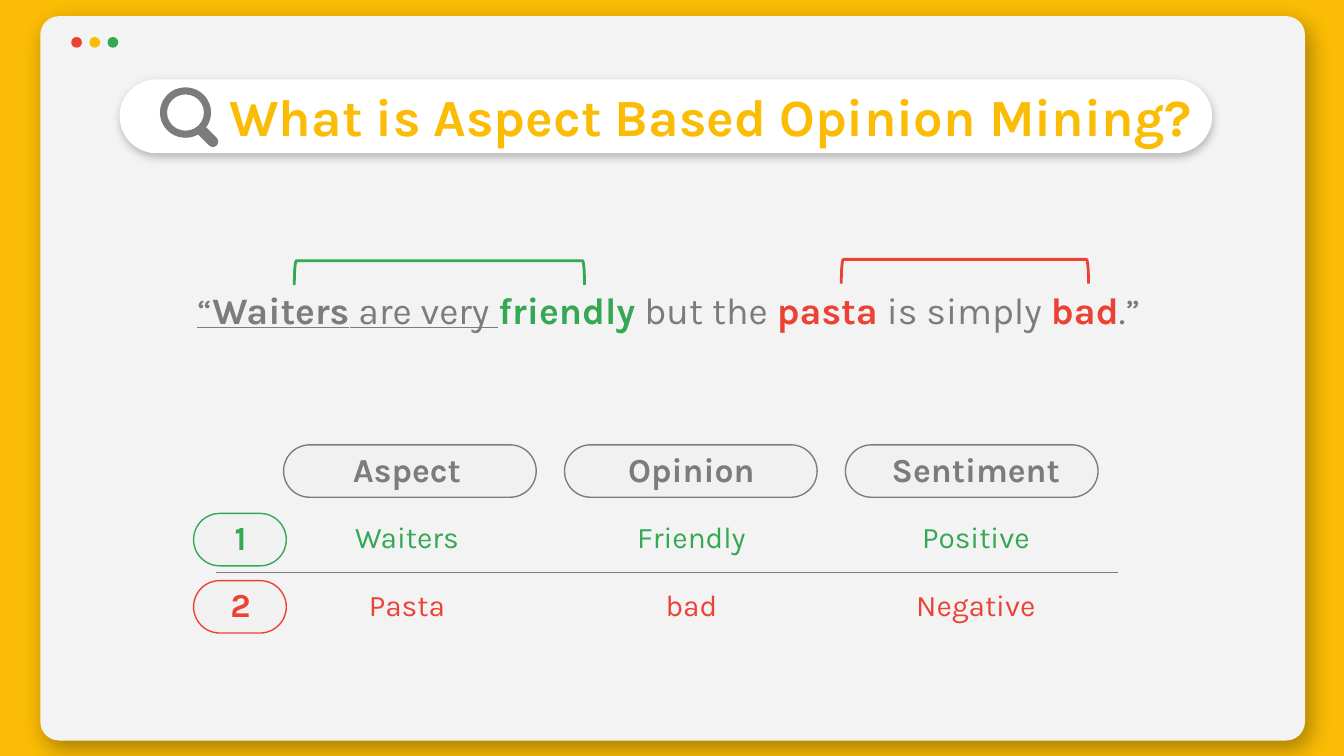
from lxml import etree
from pptx import Presentation, util as u
from pptx.dml.color import RGBColor
from pptx.enum import shapes as s, text as t
from pptx.oxml import ns

YELLOW = RGBColor(0xFB, 0xBC, 0x05)
RED = RGBColor(0xEA, 0x43, 0x35)
GREEN = RGBColor(0x34, 0xA8, 0x53)
GREY = RGBColor(0x7C, 0x7C, 0x7C)
WHITE = RGBColor(0xFF, 0xFF, 0xFF)
BLACK = RGBColor(0, 0, 0)
PAPER = RGBColor(0xF3, 0xF3, 0xF3)
PILL = RGBColor(0xF1, 0xF1, 0xF1)

COLUMNS, ROWS = 100, 56.25
CELL = u.Inches(10) / COLUMNS
PLAIN_TABLE = "{2D5ABB26-0587-4C30-8999-92F81FD0307C}"
ROUND, OVAL = s.MSO_SHAPE.ROUNDED_RECTANGLE, s.MSO_SHAPE.OVAL


def grid(*lengths):
    """Turn grid units into slide lengths."""
    return [u.Emu(round(length * CELL)) for length in lengths]


def add_shape(slide, kind, box, fill=None, line=None, weight=0.75, corner=None, turn=0):
    """Add a preset shape without shadow."""
    shape = slide.shapes.add_shape(kind, *grid(*box))
    shape.shadow.inherit = False
    shape.rotation = turn
    if corner is not None:
        shape.adjustments[0] = corner
    if fill is None:
        shape.fill.background()
    else:
        shape.fill.solid()
        shape.fill.fore_color.rgb = fill
    if line is None:
        shape.line.fill.background()
    else:
        shape.line.color.rgb = line
        shape.line.width = u.Pt(weight)
    return shape


def add_shadow(shape, color, alpha, blur, distance, angle):
    """Give a shape an outer shadow."""
    effects = shape._element.spPr.find(ns.qn("a:effectLst"))
    shadow = etree.SubElement(
        effects, ns.qn("a:outerShdw"), blurRad=str(u.Pt(blur)), dist=str(u.Pt(distance)),
        dir=str(angle * 60000), algn="bl", rotWithShape="0")
    tone = etree.SubElement(shadow, ns.qn("a:srgbClr"), val=str(color))
    etree.SubElement(tone, ns.qn("a:alpha"), val=str(alpha * 1000))


def write(paragraph, words, size=18, color=GREY, bold=False, underline=False):
    """Append a run of formatted text to a paragraph."""
    run = paragraph.add_run()
    run.text = words
    font = run.font
    font.name, font.size, font.bold, font.underline = "Karla", u.Pt(size), bold, underline
    font.color.rgb = color


def add_text(slide, box, anchor=t.MSO_ANCHOR.TOP, align=t.PP_ALIGN.LEFT):
    """Add a wrapping text box and return its paragraph."""
    frame = slide.shapes.add_textbox(*grid(*box)).text_frame
    frame.word_wrap = True
    frame.vertical_anchor = anchor
    frame.margin_left = frame.margin_right = frame.margin_top = frame.margin_bottom = grid(1)[0]
    frame.paragraphs[0].alignment = align
    return frame.paragraphs[0]


def add_window(slide, box):
    """Draw the browser window with its three buttons."""
    left, top, _, height = box
    window = add_shape(slide, ROUND, box, PAPER, corner=1.4 / height)
    add_shadow(window, BLACK, 32, 12.4, 5.2, 57)
    for index, color in enumerate((RED, YELLOW, GREEN)):
        add_shape(slide, OVAL, (left + 2.3 + index * 1.35, top + 1.55, 0.8, 0.8), color)


def add_search_bar(slide, box, title):
    """Draw the search bar with its magnifier and title."""
    left, top, width, height = box
    bar = add_shape(slide, ROUND, box, WHITE, corner=0.5)
    add_shadow(bar, GREY, 50, 4.5, 1.5, 90)
    add_shape(slide, s.MSO_SHAPE.DONUT, (left + 3, top + 0.6, 3.8, 3.75), GREY, corner=0.14)
    add_shape(slide, ROUND, (left + 5.6, top + 3.85, 1.9, 0.8), GREY, corner=0.5, turn=45)
    paragraph = add_text(slide, (left + 7.2, top + 0.1, width - 7.2, height - 0.3),
                         t.MSO_ANCHOR.MIDDLE)
    write(paragraph, title, size=28, color=YELLOW, bold=True)


def add_bracket(slide, box, color):
    """Draw a bracket that opens downward and fills the box."""
    left, top, width, height = box
    upright = (left + (width - height) / 2, top - (width - height) / 2, height, width)
    add_shape(slide, s.MSO_SHAPE.RIGHT_BRACKET, upright, line=color, weight=1.5, turn=270)


def add_sentence(slide, box):
    """Write the example sentence with its linking brackets."""
    left, top, _, _ = box
    paragraph = add_text(slide, box, align=t.PP_ALIGN.CENTER)
    for words, color, bold, underline in (
            ("“", GREY, False, True), ("Waiters", GREY, True, True),
            (" are very ", GREY, False, True), ("friendly", GREEN, True, False),
            (" but the ", GREY, False, False), ("pasta", RED, True, False),
            (" is simply ", GREY, False, False), ("bad", RED, True, False),
            (".” ", GREY, False, False)):
        write(paragraph, words, size=20, color=color, bold=bold, underline=underline)
    add_bracket(slide, (left + 13.9, top - 1, 21.6, 1.8), GREEN)
    add_bracket(slide, (left + 54.6, top - 1.1, 18.4, 1.8), RED)


def add_border(cell, side):
    """Draw a thin grey border on one side of a cell."""
    border = etree.Element(ns.qn("a:" + side), w=str(u.Pt(1)))
    fill = etree.SubElement(border, ns.qn("a:solidFill"))
    etree.SubElement(fill, ns.qn("a:srgbClr"), val=str(GREY))
    cell._tc.get_or_add_tcPr().insert(0, border)


def add_opinion_table(slide, box, rows):
    """Draw the opinion table on top of its pills."""
    left, top, width, height = box
    key_width, row_height = 3.6, height / len(rows)
    column_width = (width - key_width) / 3
    for index in range(3):
        add_shape(slide, ROUND, (left + 5 + index * 20.9, top + 0.5, 18.8, 3.9),
                  PILL, GREY, corner=0.5)
    for index, color in enumerate((GREEN, RED), 1):
        add_shape(slide, ROUND, (left - 1.7, top + 0.6 + index * row_height, 6.9, 3.9),
                  PILL, color, corner=0.5)

    table = slide.shapes.add_table(len(rows), 4, *grid(*box)).table
    table._tbl.tblPr.find(ns.qn("a:tableStyleId")).text = PLAIN_TABLE
    table.first_row = table.horz_banding = False
    for index, column in enumerate(table.columns):
        column.width = grid(column_width if index else key_width)[0]
    for row, (color, side, entries) in enumerate(rows):
        for column, words in enumerate(entries):
            cell = table.cell(row, column)
            cell.fill.background()
            cell.vertical_anchor = t.MSO_ANCHOR.MIDDLE
            cell.margin_left = cell.margin_right = grid(1)[0]
            cell.margin_top = cell.margin_bottom = grid(1)[0]
            if side:
                add_border(cell, side)
            if words:
                paragraph = cell.text_frame.paragraphs[0]
                paragraph.alignment = t.PP_ALIGN.CENTER
                strong = row == 0 or column == 0
                write(paragraph, words, size=18 if strong else 16, color=color, bold=strong)


def main():
    """Build and save the presentation."""
    presentation = Presentation()
    presentation.slide_width, presentation.slide_height = grid(COLUMNS, ROWS)
    slide = presentation.slides.add_slide(presentation.slide_layouts[6])
    slide.background.fill.solid()
    slide.background.fill.fore_color.rgb = YELLOW
    add_window(slide, (3, 1.2, 94.1, 53.9))
    add_search_bar(slide, (8.9, 5.9, 81.3, 5.5), "What is Aspect Based Opinion Mining?")
    add_sentence(slide, (8, 20.4, 84.2, 7.1))
    add_opinion_table(slide, (16.1, 32.6, 67.1, 15), (
        (GREY, None, ("", "Aspect", "Opinion", "Sentiment")),
        (GREEN, "lnB", ("1", "Waiters", "Friendly", "Positive")),
        (RED, "lnT", ("2", "Pasta", "bad", "Negative"))))
    presentation.save("out.pptx")


if __name__ == "__main__":
    main()
